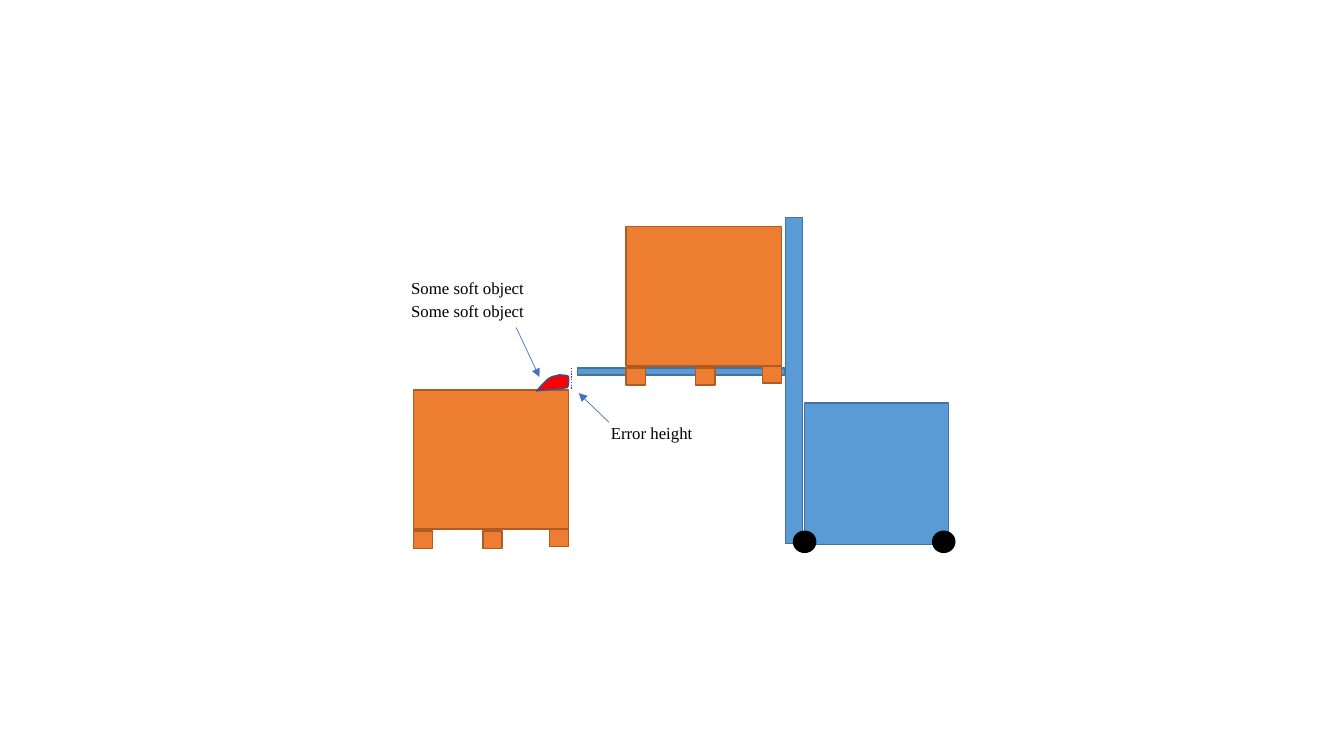
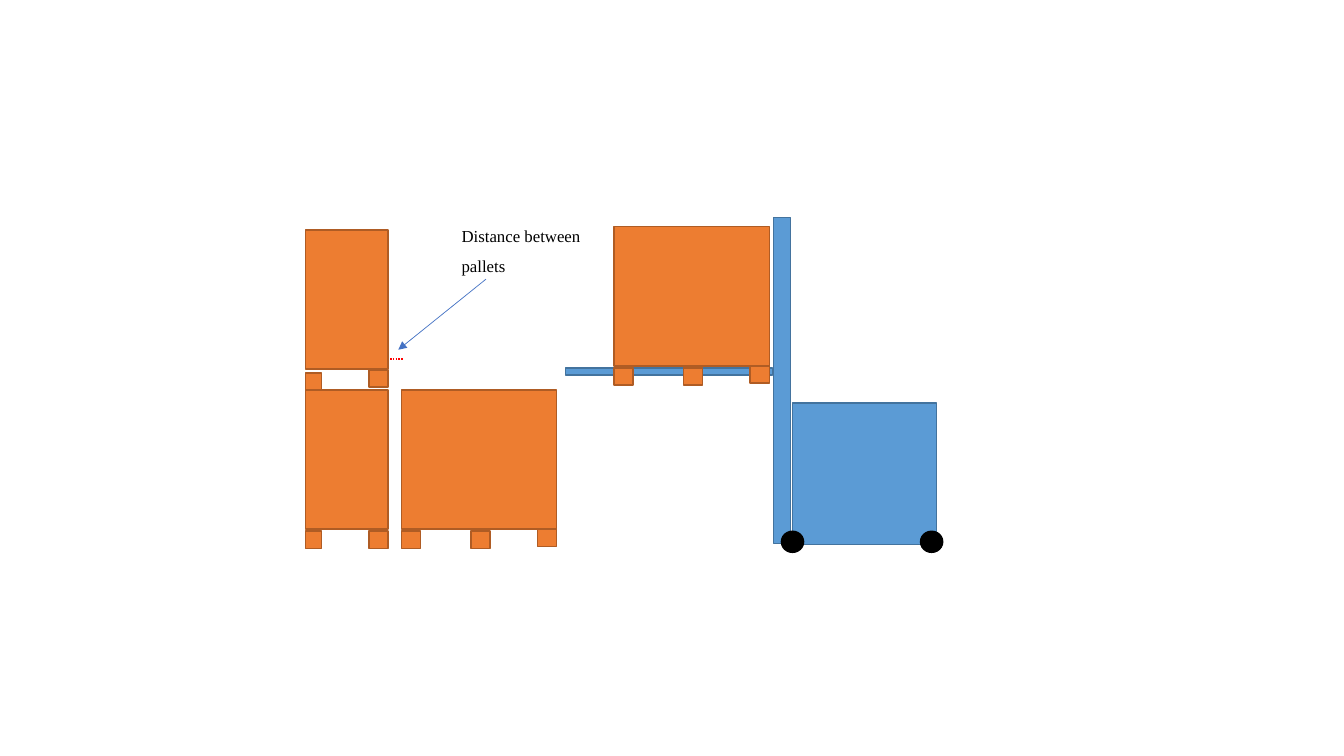
import lxml.etree
import pptx
import pptx.dml.color
import pptx.enum.dml
import pptx.enum.shapes
import pptx.enum.text
import pptx.oxml.ns
import pptx.util

Inches = pptx.util.Inches
SHAPES = pptx.enum.shapes.MSO_SHAPE
qn = pptx.oxml.ns.qn

# Shared measures, in inches
BOX_WIDTH, BOX_HEIGHT = 1.54, 1.38
NARROW_WIDTH = 0.82
FOOT_WIDTH, FOOT_HEIGHT = 0.19, 0.17

# Pallet feet: offset from the box's corner, and width
WIDE_FEET = [(0, 1.4, FOOT_WIDTH), (1.35, 1.38, FOOT_WIDTH), (0.69, 1.4, FOOT_WIDTH)]
LOWER_FEET = [(0, 1.4, 0.16), (0.63, 1.4, FOOT_WIDTH)]
UPPER_FEET = [(0, 1.42, 0.16), (0.63, 1.39, FOOT_WIDTH)]

# Outline of the soft object: start point, then curves of three points each
SOFT_START = (5.32, 3.88)
SOFT_CURVES = [
    [(5.34, 3.86), (5.43, 3.75), (5.47, 3.74)],
    [(5.49, 3.73), (5.52, 3.73), (5.54, 3.72)],
    [(5.57, 3.72), (5.6, 3.72), (5.63, 3.73)],
    [(5.64, 3.73), (5.64, 3.75), (5.64, 3.77)],
    [(5.64, 3.79), (5.64, 3.82), (5.63, 3.84)],
    [(5.62, 3.85), (5.61, 3.85), (5.6, 3.85)],
    [(5.56, 3.86), (5.53, 3.86), (5.5, 3.86)],
    [(5.45, 3.87), (5.35, 3.87), (5.32, 3.88)],
]


def color(hex_value):
    return pptx.dml.color.RGBColor.from_string(hex_value)


def apply_format(target, values):
    for name, value in values.items():
        setattr(target, name, value)


def curve_points(start, curves, steps=8):
    """Points along a chain of cubic curves."""
    points = []
    for first, second, end in curves:
        for step in range(1, steps + 1):
            t = step / steps
            weights = ((1 - t) ** 3, 3 * t * (1 - t) ** 2, 3 * t * t * (1 - t), t ** 3)
            corners = (start, first, second, end)
            points.append(tuple(
                Inches(sum(w * corner[axis] for w, corner in zip(weights, corners)))
                for axis in (0, 1)))
        start = end
    return points


class Diagram:
    """Holds the style and the current slide."""

    PALLET = ("ED7D31", "AF5C24")
    TRUCK = ("5B9BD5", "43739E")
    WHEEL = ("000000", "000000")
    SOFT = ("FF0000", "325491")
    ARROW, GAP = "4472C4", "FF0000"
    FONT = {"name": "Times New Roman", "size": pptx.util.Pt(12)}
    TEXT_COLOR, LABEL_FILL = "000000", "FFFFFF"

    def __init__(self):
        self.deck = pptx.Presentation()
        apply_format(self.deck, {"slide_width": Inches(13.33), "slide_height": Inches(7.5)})
        self.slide = None

    def new_slide(self):
        self.slide = self.deck.slides.add_slide(self.deck.slide_layouts[6])

    # Basic elements
    def paint(self, shape, style):
        fill, outline = style
        shape.shadow.inherit = False
        shape.fill.solid()
        shape.fill.fore_color.rgb = color(fill)
        shape.line.color.rgb = color(outline)
        shape.line.width = pptx.util.Pt(1)

    def shape(self, left, top, width, height, style, preset=SHAPES.RECTANGLE):
        box = self.slide.shapes.add_shape(preset, *map(Inches, (left, top, width, height)))
        self.paint(box, style)
        return box

    def line(self, start, end, line_color, width):
        connector = self.slide.shapes.add_connector(
            pptx.enum.shapes.MSO_CONNECTOR.STRAIGHT, *map(Inches, start + end))
        connector.line.color.rgb = color(line_color)
        connector.line.width = pptx.util.Pt(width)
        lxml.etree.SubElement(connector._element.spPr, qn("a:effectLst"))
        return connector

    def arrow(self, start, end):
        pointer = self.line(start, end, self.ARROW, 0.5)
        lxml.etree.SubElement(pointer.get_or_add_ln(), qn("a:tailEnd"), type="triangle")

    def gap_mark(self, start, end):
        mark = self.line(start, end, self.GAP, 1)
        mark.line.dash_style = pptx.enum.dml.MSO_LINE.ROUND_DOT

    def fill_text(self, frame, lines, wrap, paragraph_format):
        apply_format(frame, {"word_wrap": wrap,
                             "vertical_anchor": pptx.enum.text.MSO_ANCHOR.TOP})
        for index, words in enumerate(lines):
            paragraph = frame.add_paragraph() if index else frame.paragraphs[0]
            paragraph.alignment = pptx.enum.text.PP_ALIGN.LEFT
            apply_format(paragraph, paragraph_format)
            run = paragraph.add_run()
            run.text = words
            apply_format(run.font, self.FONT)
            run.font.color.rgb = color(self.TEXT_COLOR)

    def label(self, left, top, width, height, *lines):
        panel = self.shape(left, top, width, height, (self.LABEL_FILL, self.LABEL_FILL))
        panel.line.fill.background()
        self.fill_text(panel.text_frame, lines, False,
                       {"space_after": pptx.util.Pt(6), "line_spacing": 1.07})

    def caption(self, left, top, width, height, words):
        box = self.slide.shapes.add_textbox(*map(Inches, (left, top, width, height)))
        self.fill_text(box.text_frame, [words], True, {})

    # Parts of the warehouse scene
    def pallet(self, left, top, width=BOX_WIDTH, feet=WIDE_FEET):
        self.shape(left, top, width, BOX_HEIGHT, self.PALLET)
        for across, down, foot_width in feet:
            self.shape(left + across, top + down, foot_width, FOOT_HEIGHT, self.PALLET)

    def soft_object(self):
        builder = self.slide.shapes.build_freeform(*map(Inches, SOFT_START))
        builder.add_line_segments(curve_points(SOFT_START, SOFT_CURVES), close=True)
        self.paint(builder.convert_to_shape(), self.SOFT)

    def forklift(self, left):
        """Fork, load, mast, body and wheels, placed from the fork's tip."""
        self.shape(left, 3.65, 2.05, 0.07, self.TRUCK)
        self.pallet(left + 0.48, 2.25)
        self.shape(left + 2.06, 2.16, 0.17, 3.23, self.TRUCK)
        self.shape(left + 2.25, 4, 1.43, 1.4, self.TRUCK)
        for across in (2.14, 3.52):
            self.shape(left + across, 5.27, 0.22, 0.21, self.WHEEL, SHAPES.OVAL)


def error_height_slide(diagram):
    diagram.new_slide()
    diagram.pallet(4.1, 3.87)
    diagram.soft_object()
    diagram.forklift(5.73)
    diagram.gap_mark((5.67, 3.65), (5.67, 3.87))
    diagram.label(5.96, 4.13, 1.41, 0.33, "Error height")
    diagram.arrow((6.04, 4.19), (5.74, 3.9))
    diagram.label(3.98, 2.92, 1.93, 0.36, "Some soft object")
    diagram.arrow((5.12, 3.25), (5.35, 3.74))
    diagram.caption(3.98, 2.71, 2.16, 0.3, "Some soft object")


def pallet_distance_slide(diagram):
    diagram.new_slide()
    diagram.pallet(3.98, 3.87)
    diagram.forklift(5.61)
    diagram.pallet(3.03, 3.87, NARROW_WIDTH, LOWER_FEET)
    diagram.pallet(3.03, 2.28, NARROW_WIDTH, UPPER_FEET)
    diagram.gap_mark((3.87, 3.56), (4, 3.56))
    diagram.arrow((4.82, 2.77), (3.95, 3.47))
    diagram.label(4.48, 2.18, 1.39, 0.58, "Distance between", "pallets")


def main():
    diagram = Diagram()
    error_height_slide(diagram)
    pallet_distance_slide(diagram)
    diagram.deck.save("out.pptx")


if __name__ == "__main__":
    main()
